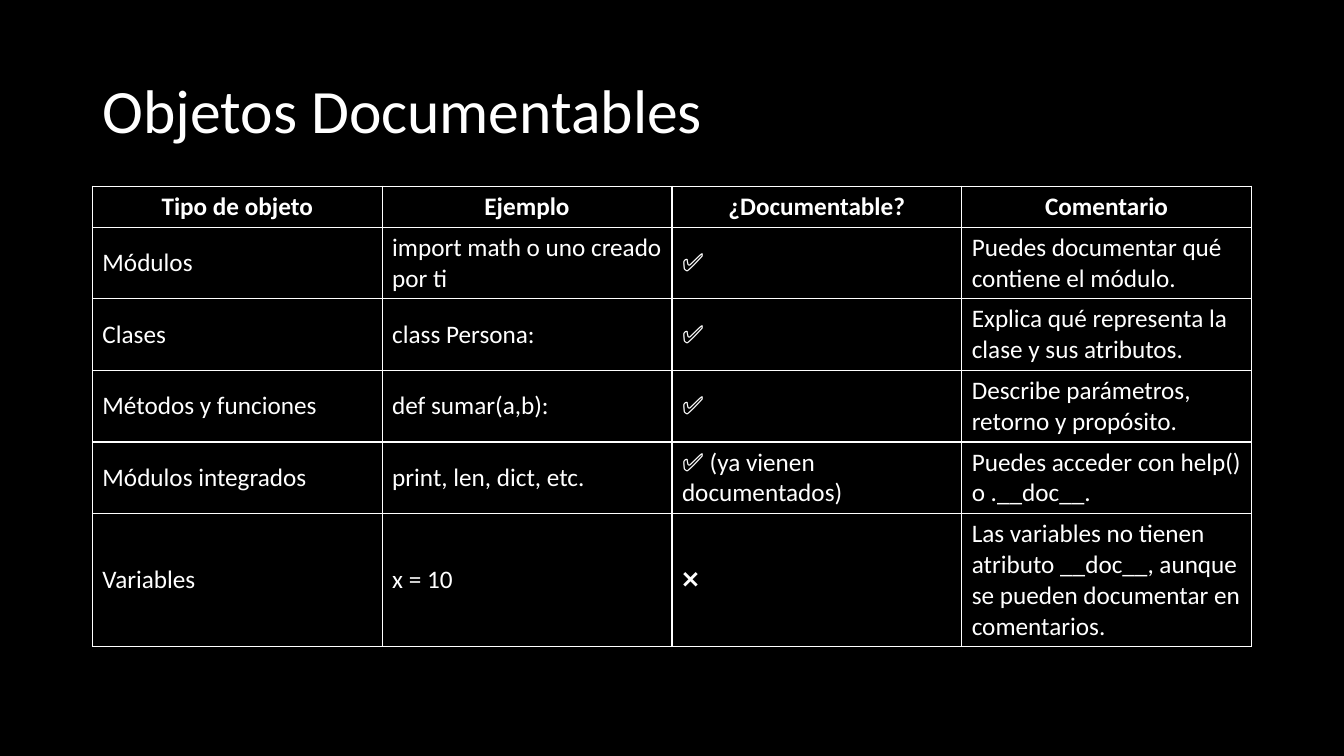
from lxml import etree
from pptx import Presentation
from pptx.dml.color import RGBColor
from pptx.enum.text import MSO_ANCHOR, MSO_AUTO_SIZE, PP_ALIGN
from pptx.oxml.ns import qn
from pptx.util import Pt

MIDDLE = MSO_ANCHOR.MIDDLE
NO_FIT = MSO_AUTO_SIZE.NONE
LEFT, CENTER = PP_ALIGN.LEFT, PP_ALIGN.CENTER
BLACK = RGBColor(0x00, 0x00, 0x00)
WHITE = RGBColor(0xFF, 0xFF, 0xFF)
FONT = "Calibri"
TITLE_ONLY = 5

ROWS = [
    ("Tipo de objeto", "Ejemplo", "¿Documentable?", "Comentario"),
    ("Módulos", "import math o uno creado por ti", "✅",
     "Puedes documentar qué contiene el módulo."),
    ("Clases", "class Persona:", "✅",
     "Explica qué representa la clase y sus atributos."),
    ("Métodos y funciones", "def sumar(a,b):", "✅",
     "Describe parámetros, retorno y propósito."),
    ("Módulos integrados", "print, len, dict, etc.", "✅ (ya vienen documentados)",
     "Puedes acceder con help() o .__doc__."),
    ("Variables", "x = 10", "❌",
     "Las variables no tienen atributo __doc__, aunque se pueden documentar en comentarios."),
]
LINES_PER_ROW = [1, 2, 2, 2, 2, 4]
LINE_HEIGHT = 21.95
CELL_PADDING = 7.2


def add_text(p, text, size, bold=False, align=LEFT):
    p.alignment = align
    r = p.add_run()
    r.text = text
    r.font.name = FONT
    r.font.size = Pt(size)
    r.font.bold = bold
    r.font.color.rgb = WHITE


def add_borders(cell):
    tc_pr = cell._tc.get_or_add_tcPr()
    for side in ("lnL", "lnR", "lnT", "lnB"):
        ln = etree.SubElement(tc_pr, qn(f"a:{side}"), w=str(Pt(1)))
        fill = etree.SubElement(ln, qn("a:solidFill"))
        etree.SubElement(fill, qn("a:srgbClr"), val=str(WHITE))


def add_title(s, left, top, width, height):
    sp = s.shapes.title
    sp.left, sp.top, sp.width, sp.height = Pt(left), Pt(top), Pt(width), Pt(height)
    tf = sp.text_frame
    tf.word_wrap = True
    tf.auto_size = NO_FIT
    tf.vertical_anchor = MIDDLE
    p = tf.paragraphs[0]
    p.line_spacing = 0.9
    add_text(p, "Objetos Documentables", 44)


def add_objects_table(s, left, top, width):
    heights = [n * LINE_HEIGHT + CELL_PADDING for n in LINES_PER_ROW]
    columns = len(ROWS[0])
    frame = s.shapes.add_table(len(ROWS), columns, Pt(left), Pt(top),
                               Pt(width), Pt(sum(heights)))
    table = frame.table
    for column in table.columns:
        column.width = Pt(width / columns)
    for i, texts in enumerate(ROWS):
        table.rows[i].height = Pt(heights[i])
        header = i == 0
        for j, text in enumerate(texts):
            cell = table.cell(i, j)
            cell.vertical_anchor = MIDDLE
            add_borders(cell)
            cell.fill.solid()
            cell.fill.fore_color.rgb = BLACK
            add_text(cell.text_frame.paragraphs[0], text, 18, header,
                     CENTER if header else LEFT)


def main():
    prs = Presentation()
    prs.slide_width, prs.slide_height = Pt(960), Pt(540)
    s = prs.slides.add_slide(prs.slide_layouts[TITLE_ONLY])
    s.background.fill.solid()
    s.background.fill.fore_color.rgb = BLACK
    add_title(s, 66, 28.75, 828, 104.4)
    add_objects_table(s, 66, 133.1, 828)
    prs.save("out.pptx")


if __name__ == "__main__":
    main()
